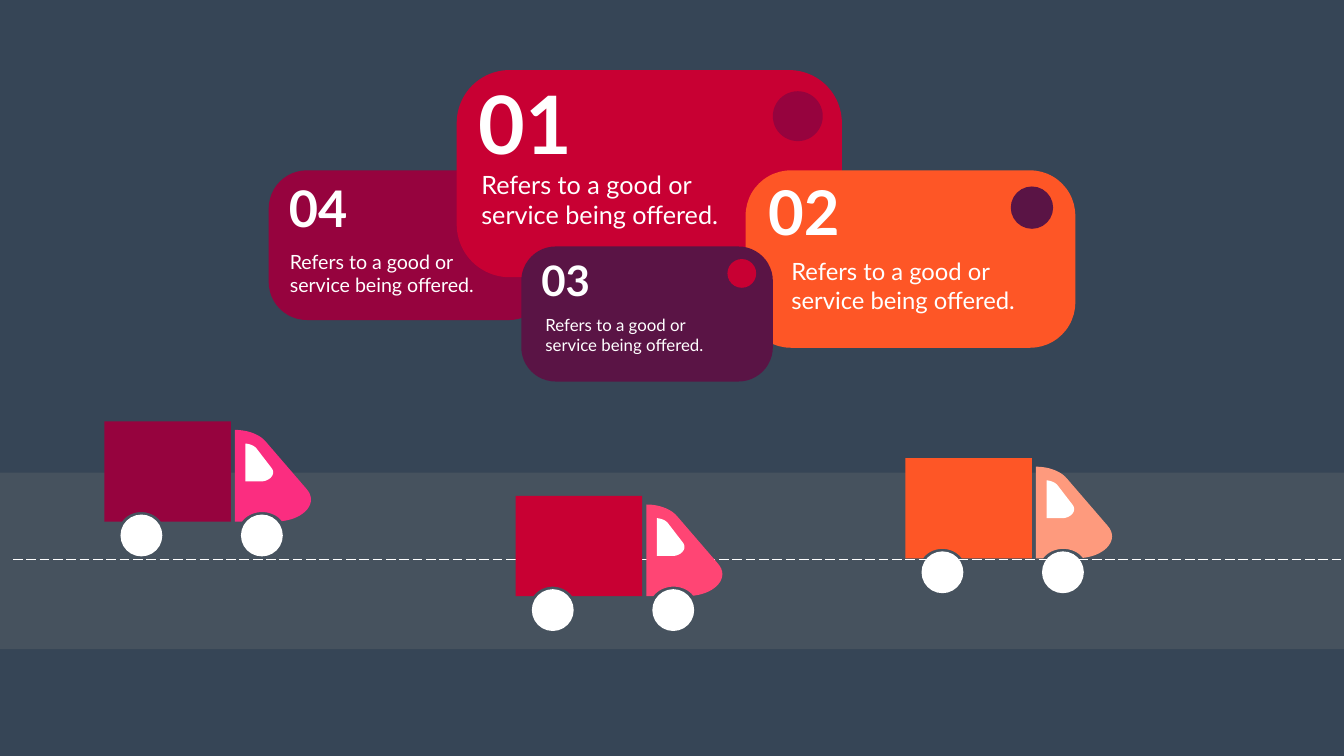
from collections import namedtuple

from lxml import etree
from pptx import Presentation
from pptx.dml.color import RGBColor
from pptx.enum import dml, shapes, text
from pptx.oxml import ns
from pptx.util import Inches, Pt

NIGHT = RGBColor(0x36, 0x45, 0x56)
ASPHALT = RGBColor(0x79, 0x79, 0x79)
WHITE = RGBColor(0xFF, 0xFF, 0xFF)
WINE = RGBColor(0x96, 0x03, 0x3E)
RED = RGBColor(0xC8, 0x00, 0x33)
ORANGE = RGBColor(0xFE, 0x56, 0x26)
PLUM = RGBColor(0x5A, 0x14, 0x45)
PINK = RGBColor(0xFB, 0x2D, 0x80)
ROSE = RGBColor(0xFF, 0x45, 0x74)
PEACH = RGBColor(0xFE, 0x9A, 0x7D)

CARGO = [
    (0, 0), (0, 1.99), (0.35, 1.99),
    ((0.42, 1.88), (0.57, 1.8), (0.73, 1.8)),
    ((0.9, 1.8), (1.04, 1.88), (1.12, 1.99)),
    (2.51, 1.99), (2.51, 0),
]
CAB = [
    (4.01, 1.34), (3.2, 0.4),
    ((3.07, 0.25), (2.83, 0.17), (2.59, 0.17)),
    (2.59, 1.99), (2.73, 1.99),
    ((2.81, 1.88), (2.96, 1.8), (3.13, 1.8)),
    ((3.29, 1.8), (3.44, 1.87), (3.52, 1.98)),
    ((3.98, 1.93), (4.25, 1.61), (4.01, 1.34)),
]
WINDOW = [
    (3.32, 0.93), (3.02, 0.54),
    ((2.97, 0.48), (2.89, 0.45), (2.8, 0.44)),
    (2.8, 1.19), (2.98, 1.19),
    ((3.04, 1.19), (3.02, 1.19), (3.14, 1.19)),
    ((3.3, 1.17), (3.4, 1.04), (3.32, 0.93)),
]
WHEEL_LEFTS = (2.71, 0.32)
WHEEL_TOP = 1.85
WHEEL_SIZE = 0.83
CURVE_STEPS = 16

Card = namedtuple("Card", "color box number number_box number_size message_box message_size")
CARDS = [
    Card(WINE, (5.33, 3.38, 5.53, 2.97), "04", (5.63, 3.47, 1.37, 1.31), 72, (5.65, 4.9, 3.98, 1.04), 28),
    Card(RED, (9.06, 1.39, 7.64, 4.11), "01", (9.39, 1.42, 2.07, 2.04), 115, (9.45, 3.3, 5.27, 1.31), 36),
    Card(ORANGE, (14.79, 3.38, 6.54, 3.52), "02", (15.14, 3.41, 1.63, 1.58), 88, (15.6, 5.05, 4.73, 1.25), 34),
    Card(PLUM, (10.34, 4.89, 4.99, 2.68), "03", (10.64, 5.01, 1.18, 1.11), 60, (10.72, 6.2, 3.45, 0.91), 24),
]
MESSAGE = "Refers to a good or\nservice being offered."
DOTS = [(15.33, 1.81, 0.99, WINE), (20.05, 3.7, 0.84, PLUM), (14.43, 5.14, 0.57, RED)]
TRUCKS = [(2.07, 8.36, WINE, PINK), (17.96, 9.09, ORANGE, PEACH), (10.23, 9.84, RED, ROSE)]


def flatten(outline):
    points = []
    for step in outline:
        if isinstance(step[0], tuple):
            start = points[-1]
            for i in range(1, CURVE_STEPS + 1):
                t = i / CURVE_STEPS
                weights = ((1 - t) ** 3, 3 * t * (1 - t) ** 2, 3 * t * t * (1 - t), t ** 3)
                knots = (start, *step)
                points.append(tuple(sum(w * k[axis] for w, k in zip(weights, knots)) for axis in (0, 1)))
        else:
            points.append(step)
    return points


class Painter:
    font = "Lato"
    corner = 0.255

    def __init__(self, slide):
        self.slide = slide

    def paint(self, shape, color):
        shape.shadow.inherit = False
        shape.fill.solid()
        shape.fill.fore_color.rgb = color
        shape.line.fill.background()
        return shape

    def preset(self, kind, box, color):
        return self.paint(self.slide.shapes.add_shape(kind, *map(Inches, box)), color)

    def circle(self, left, top, size, color):
        self.preset(shapes.MSO_SHAPE.OVAL, (left, top, size, size), color)

    def card(self, box, color):
        panel = self.preset(shapes.MSO_SHAPE.ROUNDED_RECTANGLE, box, color)
        panel.adjustments[0] = self.corner

    def outline(self, left, top, steps, color):
        points = [(Inches(left + x), Inches(top + y)) for x, y in flatten(steps)]
        builder = self.slide.shapes.build_freeform(*points[0])
        builder.add_line_segments(points[1:], close=True)
        self.paint(builder.convert_to_shape(), color)

    def road(self, box, color, opacity):
        surface = self.preset(shapes.MSO_SHAPE.RECTANGLE, box, color)
        tint = surface.fill._xPr.find(".//" + ns.qn("a:srgbClr"))
        etree.SubElement(tint, ns.qn("a:alpha"), val=str(opacity * 1000))

    def lane(self, left, right, y):
        marking = self.slide.shapes.add_connector(
            shapes.MSO_CONNECTOR.STRAIGHT, Inches(left), Inches(y), Inches(right), Inches(y))
        marking.line.color.rgb = WHITE
        marking.line.width = Pt(1.73)
        marking.line.dash_style = dml.MSO_LINE.LONG_DASH
        etree.SubElement(marking._element.spPr, ns.qn("a:effectLst"))

    def truck(self, left, top, cargo_color, cab_color):
        for steps, color in ((CARGO, cargo_color), (CAB, cab_color), (WINDOW, WHITE)):
            self.outline(left, top, steps, color)
        for wheel_left in WHEEL_LEFTS:
            self.circle(left + wheel_left, top + WHEEL_TOP, WHEEL_SIZE, WHITE)

    def label(self, box, words, size, bold=False, wrap=True):
        frame = self.slide.shapes.add_textbox(*map(Inches, box)).text_frame
        frame.word_wrap = wrap
        frame.auto_size = text.MSO_AUTO_SIZE.SHAPE_TO_FIT_TEXT
        frame.text = words
        for paragraph in frame.paragraphs:
            for run in paragraph.runs:
                run.font.name = self.font
                run.font.size = Pt(size)
                run.font.bold = bold
                run.font.color.rgb = WHITE


def main():
    deck = Presentation()
    deck.slide_width, deck.slide_height = Inches(26.66), Inches(15)
    slide = deck.slides.add_slide(deck.slide_layouts[6])
    slide.background.fill.solid()
    slide.background.fill.fore_color.rgb = NIGHT

    painter = Painter(slide)
    painter.road((0, 9.38, 26.66, 3.5), ASPHALT, 25)
    painter.lane(0.26, 26.66, 11.1)
    for card in CARDS:
        painter.card(card.box, card.color)
    for dot in DOTS:
        painter.circle(*dot)
    for truck in TRUCKS:
        painter.truck(*truck)
    for card in CARDS:
        painter.label(card.number_box, card.number, card.number_size, bold=True, wrap=False)
        painter.label(card.message_box, MESSAGE, card.message_size)
    deck.save("out.pptx")


if __name__ == "__main__":
    main()
